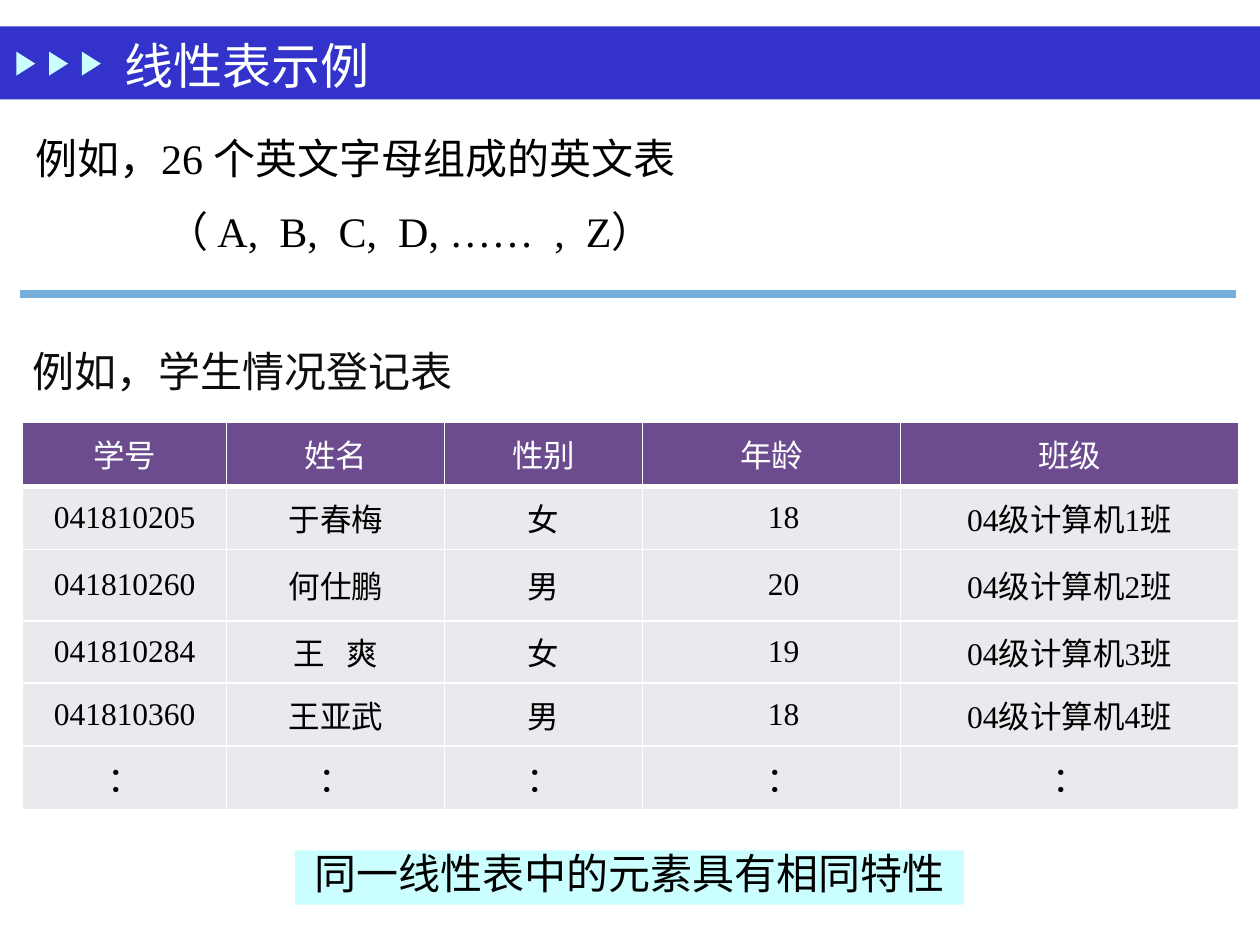
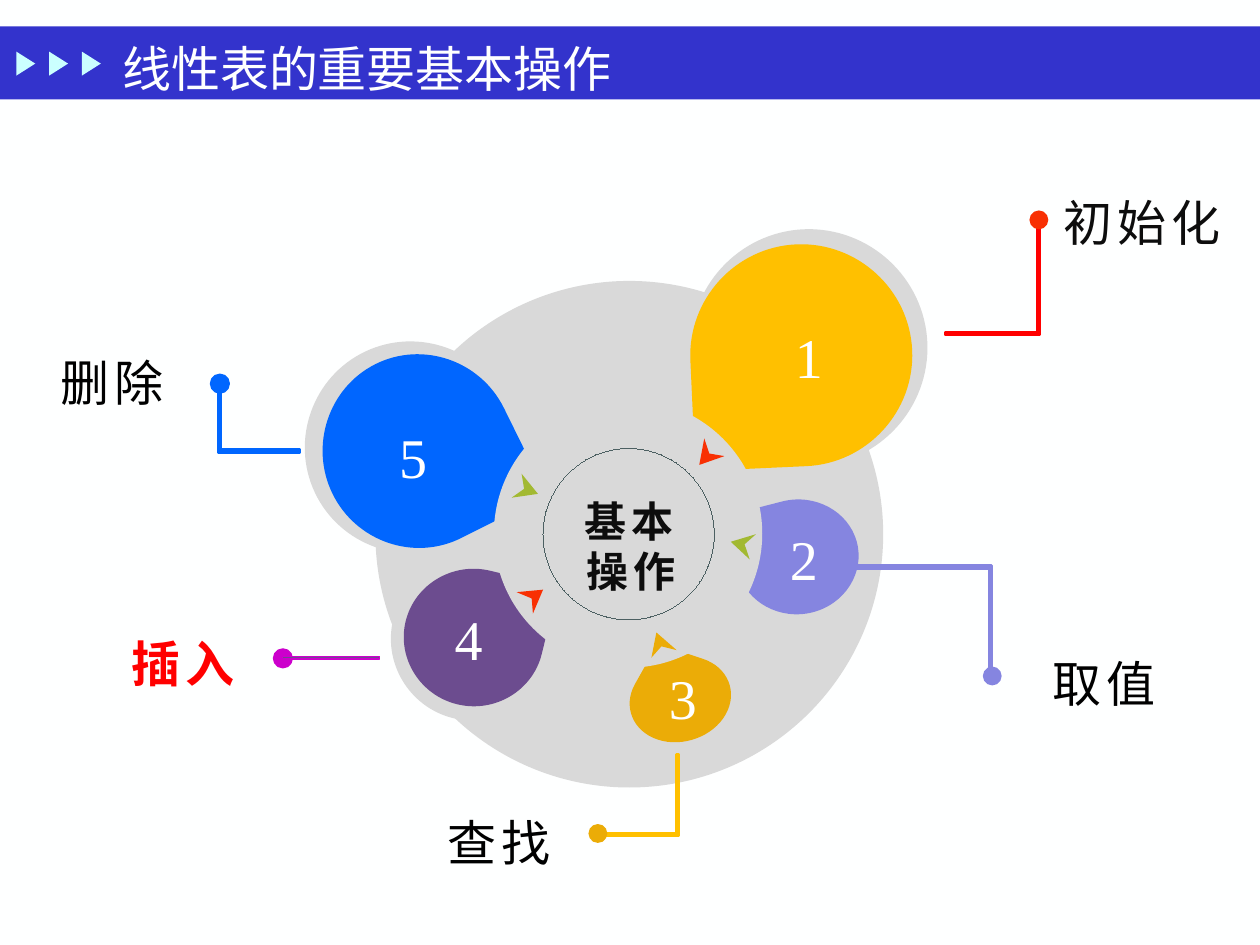
"""Builds two slides on linear lists: examples, and the important basic operations."""
from math import copysign

from lxml.etree import SubElement
from pptx import Presentation
from pptx.dml.color import RGBColor
from pptx.enum.shapes import MSO_CONNECTOR as Connector, MSO_SHAPE as Preset
from pptx.enum.text import MSO_ANCHOR as Anchor, MSO_AUTO_SIZE as AutoSize, PP_ALIGN as Align
from pptx.oxml.ns import qn
from pptx.util import Inches, Pt


class Theme:
    """Colours, fonts and type sizes of the deck."""
    paper, band, pale = "FEFFFF", "3333CC", "CBFFFF"
    black, ink, white, grey = "000000", "0D0D0D", "FFFFFF", "D9D9D9"
    rule, ring, cell = "76AEDD", "4C6062", "EBE9EE"
    red, scarlet, magenta, green = "FF0000", "F83003", "CC00CC", "A2B932"
    yellow, amber, violet, purple, blue = "FFC000", "EBAC07", "8585E0", "6C4C8F", "0066FF"
    latin, han = "Times New Roman", "Noto Sans CJK SC"
    table, dots, body, title, number = 18, 20, 24, 28, 32


EXAMPLES_TITLE = ("线性表示例", (0.89, 0.18, 8.43, 0.67), 0.1)
OPERATIONS_TITLE = ("线性表的重要基本操作", (0.69, 0.24, 4.99, 0.6), 0.28)

STATEMENTS = [
    ("（ A,  B,  C,  D, ……  ,  Z）", (1.22, 1.66, 5.36, 0.41),
     dict(anchor=Anchor.MIDDLE, line_spacing=0.8)),
    ("例如，学生情况登记表", (0.16, 2.69, 3.65, 0.5), dict(color=Theme.ink, font=Theme.han)),
    ("例如，26 个英文字母组成的英文表", (0.18, 1, 6.49, 0.51),
     dict(anchor=Anchor.MIDDLE, before=0.5)),
]
CONCLUSION = ("同一线性表中的元素具有相同特性", (2.34, 6.75, 5.31, 0.43))

STUDENTS = [
    ("学号", "姓名", "性别", "年龄", "班级"),
    ("041810205", "于春梅", "女", "18", "04级计算机1班"),
    ("041810260", "何仕鹏", "男", "20", "04级计算机2班"),
    ("041810284", "王   爽", "女", "19", "04级计算机3班"),
    ("041810360", "王亚武", "男", "18", "04级计算机4班"),
    ("：",) * 5,
]
STUDENTS_BOX = (0.18, 3.35, 9.65, 3.07)
COLUMN_WIDTHS = (1.62, 1.73, 1.57, 2.05, 2.68)
ROW_HEIGHTS = (0.51, 0.5, 0.57, 0.49, 0.5, 0.5)
AGE_COLUMN, AGE_INDENT = 3, 0.29

HALOS = [
    ((6.42, 2.76), (-0.94, 0.04), (-0.04, -0.94)),
    ((3.26, 3.55), (0.36, 0.76), (-0.76, 0.36)),
    ((3.75, 5.07), (0.64, 0.1), (-0.1, 0.64)),
]
DROPS = [
    ((3.76, 5.06), (0.54, 0.13), (-0.13, 0.53), Theme.purple),
    ((3.32, 3.58), (0.34, 0.69), (-0.68, 0.34), Theme.blue),
    ((6.36, 2.82), (-0.88, 0.04), (-0.04, -0.88), Theme.yellow),
    ((6.33, 4.42), (-0.12, -0.44), (0.47, -0.12), Theme.violet),
    ((5.4, 5.55), (0.18, -0.32), (0.36, 0.12), Theme.amber),
]
ARC_PULL = 0.55
DISC, HUB, RING = (2.98, 2.23, 4.03, 4.02), (3.92, 3.17, 2.13, 2.13), (4.31, 3.56, 1.36, 1.36)
ARROWS = [
    ([(4.1, 4.7), (4.31, 4.68), (4.23, 4.87), (4.22, 4.75)], Theme.scarlet),
    ([(4.14, 3.76), (4.27, 3.92), (4.06, 3.95), (4.16, 3.88)], Theme.green),
    ([(5.75, 3.62), (5.55, 3.69), (5.59, 3.48), (5.63, 3.6)], Theme.scarlet),
    ([(5.95, 4.44), (5.8, 4.3), (6, 4.24), (5.91, 4.32)], Theme.green),
    ([(5.17, 5.22), (5.21, 5.02), (5.37, 5.16), (5.25, 5.13)], Theme.amber),
]
LEADERS = [
    (7.5, (8.24, 2.65), 1.7, Theme.red),
    (6.51, (7.86, 4.5), 5.3, Theme.violet),
    (4.72, (5.38, 6.62), 5.99, Theme.yellow),
    (2.38, (1.74, 3.58), 3.01, Theme.blue),
]
LEADER_HALF = 0.01
INSERT_BAR = (2.24, 5.21, 0.77, 0.02)
LEADER_DOTS = [
    ((8.17, 1.67), Theme.scarlet, None),
    ((7.8, 5.29), Theme.violet, None),
    ((2.17, 5.15), Theme.magenta, Theme.magenta),
    ((4.67, 6.54), Theme.amber, None),
    ((1.67, 2.97), Theme.blue, Theme.blue),
]
DOT_SIZE = 0.15
HUB_LABEL = ("基本操作", (4.35, 3.86, 1.32, 0.94))
OPERATIONS = [
    ("初始化", (8.28, 1.46, 1.57, 0.61), dict(color=Theme.ink)),
    ("查找", (3.39, 6.38, 1.14, 0.61), {}),
    ("插入", (0.88, 4.96, 1.14, 0.61), dict(color=Theme.red, bold=True)),
    ("取值", (8.19, 5.12, 1.14, 0.61), {}),
    ("删除", (0.32, 2.73, 1.14, 0.61), {}),
]
NUMBERS = {"1": (6.15, 2.49), "5": (3.01, 3.28), "4": (3.45, 4.73),
           "3": (5.15, 5.2), "2": (6.11, 4.09)}
NUMBER_SIZE = (0.54, 0.67)
SPACED = dict(align=Align.CENTER, tracking=3, insets=(0.13, 0.07))


def rgb(color):
    return RGBColor.from_string(color)


def inches(values):
    return [Inches(value) for value in values]


def assign(target, formats):
    for name, value in formats.items():
        setattr(target, name, value)


def paint(shape, fill=None, line=None, width=0):
    shape.shadow.inherit = False
    if fill:
        shape.fill.solid()
        shape.fill.fore_color.rgb = rgb(fill)
    else:
        shape.fill.background()
    if line:
        shape.line.color.rgb = rgb(line)
        shape.line.width = Pt(width)
    else:
        shape.line.fill.background()
    return shape


def preset(slide, kind, box, fill=None, line=None, width=0):
    return paint(slide.shapes.add_shape(kind, *inches(box)), fill, line, width)


def outline(slide, points, fill, line=None, width=0):
    start, *rest = [inches(point) for point in points]
    builder = slide.shapes.build_freeform(*start)
    builder.add_line_segments(rest, close=True)
    return paint(builder.convert_to_shape(), fill, line, width)


def drop(slide, center, first, second, fill):
    """Draw three quarter arcs that run on into a pointed corner."""
    def place(along, across):
        return [c + along * a + across * b for c, a, b in zip(center, first, second)]

    points = [place(1, 0)]
    (x, y), (next_x, next_y) = (1, 0), (0, 1)
    for _ in range(3):
        points += [place(x + ARC_PULL * next_x, y + ARC_PULL * next_y),
                   place(next_x + ARC_PULL * x, next_y + ARC_PULL * y),
                   place(next_x, next_y)]
        (x, y), (next_x, next_y) = (next_x, next_y), (-x, -y)
    shape = outline(slide, points + [place(1, -1)], fill)
    segments = list(shape.element.iter(qn("a:lnTo")))
    for start in (0, 3, 6):
        contour = segments[start].getparent()
        curve = SubElement(contour, qn("a:cubicBezTo"))
        segments[start].addprevious(curve)
        for segment in segments[start:start + 3]:
            curve.append(segment[0])
            contour.remove(segment)


def leader(slide, end_x, corner, end_y, color):
    """Draw a thin elbow that runs level to its corner and then upright."""
    x, y = corner
    dx, dy = copysign(LEADER_HALF, x - end_x), copysign(LEADER_HALF, y - end_y)
    outer = [(end_x, y + dy), (x + dx, y + dy), (x + dx, end_y)]
    inner = [(x - dx, end_y), (x - dx, y - dy), (end_x, y - dy)]
    outline(slide, outer + inner, color, color, 1.5)


def style(paragraph, text, size=Theme.body, color=Theme.black, font=Theme.latin, bold=False,
          align=Align.LEFT, before=0, line_spacing=1.0, tracking=0):
    assign(paragraph, dict(alignment=align, space_before=Pt(size * before),
                           line_spacing=line_spacing))
    run = paragraph.add_run()
    run.text = text
    assign(run.font, dict(size=Pt(size), bold=bold, name=font))
    run.font.color.rgb = rgb(color)
    properties = run.font._element
    SubElement(properties, qn("a:ea"), typeface=Theme.han)
    if tracking:
        properties.set("spc", str(tracking * 100))


def write(shape, text, anchor=Anchor.TOP, insets=(0.1, 0.05), wrap=True, **formats):
    side, end = inches(insets)
    frame = shape.text_frame
    assign(frame, dict(auto_size=AutoSize.NONE, word_wrap=wrap, vertical_anchor=anchor,
                       margin_left=side, margin_right=side, margin_top=end, margin_bottom=end))
    style(frame.paragraphs[0], text, **formats)


def label(slide, text, box, **formats):
    write(slide.shapes.add_textbox(*inches(box)), text, **formats)


def add_slide(deck, heading, box, indent):
    slide = deck.slides.add_slide(deck.slide_layouts[5])
    title = slide.shapes.title
    assign(title, dict(zip(("left", "top", "width", "height"), inches(box))))
    write(title, heading, anchor=Anchor.MIDDLE, size=Theme.title, color=Theme.paper)
    title.text_frame.margin_left = Inches(indent)
    return slide


def share_band(slide):
    """Put the band and its three pointers behind everything, on the layout."""
    parts = [preset(slide, Preset.RECTANGLE, (0, 0.21, 10, 0.58), Theme.band)]
    for step in range(3):
        pointer = preset(slide, Preset.ISOSCELES_TRIANGLE,
                         (0.11 + 0.26 * step, 0.43, 0.19, 0.15), Theme.pale)
        pointer.rotation = 90
        parts.append(pointer)
    tree = slide.slide_layout.shapes.element
    for order, part in enumerate(parts):
        part.element.nvSpPr.cNvPr.set("id", str(100 + order))
        tree.insert(2 + order, part.element)


def border(cell, row):
    properties = cell._tc.get_or_add_tcPr()
    widths = dict(lnL=1, lnR=1, lnT=3 if row == 1 else 1, lnB=3 if row == 0 else 1)
    for side, width in widths.items():
        edge = SubElement(properties, qn(f"a:{side}"), w=str(Pt(width)))
        SubElement(SubElement(edge, qn("a:solidFill")), qn("a:srgbClr"), val=Theme.paper)


def add_students(slide):
    table = slide.shapes.add_table(len(STUDENTS), len(COLUMN_WIDTHS), *inches(STUDENTS_BOX)).table
    assign(table, dict(first_row=False, horz_banding=False))
    for column, width in zip(table.columns, COLUMN_WIDTHS):
        column.width = Inches(width)
    for row, height in zip(table.rows, ROW_HEIGHTS):
        row.height = Inches(height)
    for r, record in enumerate(STUDENTS):
        for c, text in enumerate(record):
            cell = table.cell(r, c)
            border(cell, r)
            cell.fill.solid()
            cell.fill.fore_color.rgb = rgb(Theme.cell if r else Theme.purple)
            indent = AGE_INDENT if r and c == AGE_COLUMN else 0.1
            assign(cell, dict(vertical_anchor=Anchor.MIDDLE, margin_left=Inches(indent)))
            style(cell.text_frame.paragraphs[0], text, align=Align.CENTER, before=0.2,
                  size=Theme.dots if text == "：" else Theme.table,
                  color=Theme.black if r else Theme.paper)


def fill_examples(slide):
    for text, box, formats in STATEMENTS:
        label(slide, text, box, **formats)
    text, box = CONCLUSION
    write(preset(slide, Preset.RECTANGLE, box, Theme.pale), text, anchor=Anchor.MIDDLE,
          align=Align.CENTER, line_spacing=0.8, before=0.2)
    add_students(slide)
    divider = slide.shapes.add_connector(Connector.STRAIGHT, *inches((0.16, 2.33, 9.81, 2.33)))
    divider.line.color.rgb = rgb(Theme.rule)
    divider.line.width = Pt(4.5)
    SubElement(divider.element.spPr, qn("a:effectLst"))


def fill_operations(slide):
    for halo in HALOS:
        drop(slide, *halo, Theme.grey)
    preset(slide, Preset.OVAL, DISC, Theme.grey)
    for bubble in DROPS:
        drop(slide, *bubble)
    preset(slide, Preset.OVAL, HUB, Theme.grey)
    for points, color in ARROWS:
        outline(slide, points, color)
    preset(slide, Preset.OVAL, RING, line=Theme.ring, width=0.01)
    for elbow in LEADERS:
        leader(slide, *elbow)
    for corner, color, line in LEADER_DOTS:
        preset(slide, Preset.OVAL, (*corner, DOT_SIZE, DOT_SIZE), color, line, 0.75)
    preset(slide, Preset.RECTANGLE, INSERT_BAR, Theme.purple, Theme.magenta, 0.75)
    label(slide, *HUB_LABEL, color=Theme.ink, bold=True, **SPACED)
    for text, box, formats in OPERATIONS:
        label(slide, text, box, size=Theme.title, wrap=False, **SPACED, **formats)
    for number, corner in NUMBERS.items():
        label(slide, number, (*corner, *NUMBER_SIZE), size=Theme.number, color=Theme.white,
              wrap=False, **SPACED)


def main():
    deck = Presentation()
    assign(deck, dict(slide_width=Inches(10), slide_height=Inches(7.5)))
    backdrop = deck.slide_master.background.fill
    backdrop.solid()
    backdrop.fore_color.rgb = rgb(Theme.paper)
    examples = add_slide(deck, *EXAMPLES_TITLE)
    share_band(examples)
    fill_examples(examples)
    fill_operations(add_slide(deck, *OPERATIONS_TITLE))
    deck.save("out.pptx")


if __name__ == "__main__":
    main()
